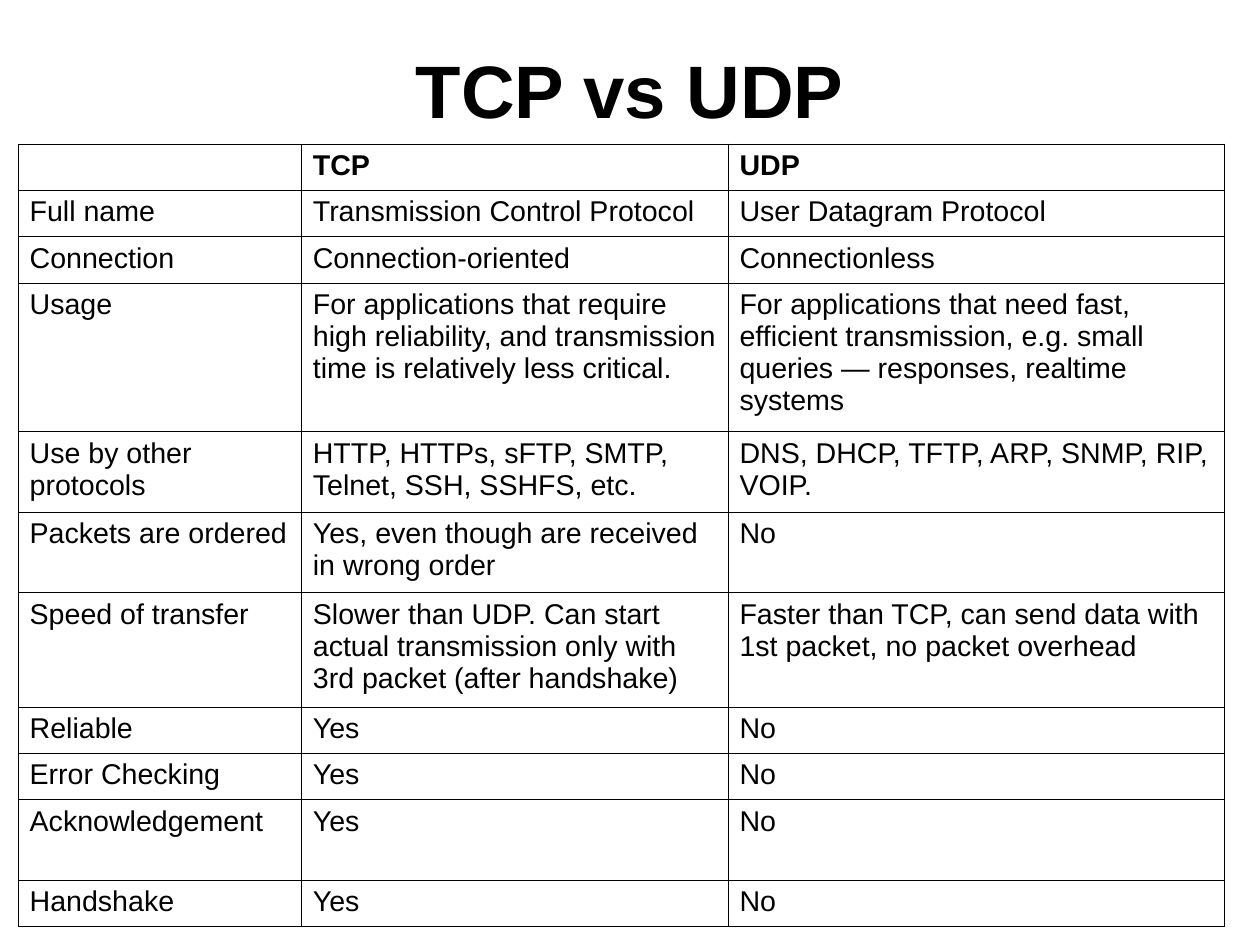
"""Build a slide with a table that compares TCP and UDP."""
from dataclasses import dataclass

from lxml import etree
from pptx import Presentation
from pptx.dml.color import RGBColor
from pptx.enum.text import MSO_ANCHOR, PP_ALIGN
from pptx.oxml.ns import qn
from pptx.util import Pt

CENTER = PP_ALIGN.CENTER
LEFT = PP_ALIGN.LEFT
MIDDLE = MSO_ANCHOR.MIDDLE


@dataclass(frozen=True)
class Theme:
    font: str = "Arial"
    ink: str = "000000"
    title_size: float = 46.8
    body_size: float = 18
    border: float = 0.57


@dataclass(frozen=True)
class Row:
    height: float
    label: str
    tcp: str
    udp: str


THEME = Theme()
ONE_LINE, TWO_LINES, THREE_LINES, FOUR_LINES = 29.2, 50.7, 71.8, 93.5
COLUMN_WIDTHS = (178.4, 268.8, 312.4)
ROWS = (
    Row(ONE_LINE, "", "TCP", "UDP"),
    Row(ONE_LINE, "Full name", "Transmission Control Protocol", "User Datagram Protocol"),
    Row(ONE_LINE, "Connection", "Connection-oriented", "Connectionless"),
    Row(FOUR_LINES, "Usage",
        "For applications that require high reliability, and transmission "
        "time is relatively less critical.",
        "For applications that need fast, efficient transmission, e.g. small "
        "queries — responses, realtime systems"),
    Row(TWO_LINES, "Use by other protocols",
        "HTTP, HTTPs, sFTP, SMTP, Telnet, SSH, SSHFS, etc.",
        "DNS, DHCP, TFTP, ARP, SNMP, RIP, VOIP."),
    Row(TWO_LINES, "Packets are ordered",
        "Yes, even though are received in wrong order", "No"),
    Row(THREE_LINES, "Speed of transfer",
        "Slower than UDP. Can start actual transmission only with 3rd packet "
        "(after handshake)",
        "Faster than TCP, can send data with 1st packet, no packet overhead"),
    Row(ONE_LINE, "Reliable", "Yes", "No"),
    Row(ONE_LINE, "Error Checking", "Yes", "No"),
    Row(TWO_LINES, "Acknowledgement", "Yes", "No"),
    Row(ONE_LINE, "Handshake", "Yes", "No"),
)


def write(tf, text: str, size: float, bold: bool, align=LEFT) -> None:
    p = tf.paragraphs[0]
    p.text = text
    p.alignment = align
    p.font.name = THEME.font
    p.font.size = Pt(size)
    p.font.bold = bold
    p.font.color.rgb = RGBColor.from_string(THEME.ink)


def set_borders(cell) -> None:
    tc_pr = cell._tc.get_or_add_tcPr()
    for i, side in enumerate(("a:lnL", "a:lnR", "a:lnT", "a:lnB")):
        ln = etree.Element(qn(side), w=str(Pt(THEME.border)))
        fill = etree.SubElement(ln, qn("a:solidFill"))
        etree.SubElement(fill, qn("a:srgbClr"), val=THEME.ink)
        tc_pr.insert(i, ln)


def add_title(s, text: str) -> None:
    tf = s.shapes.add_textbox(Pt(39.6), Pt(20.9), Pt(714.2), Pt(69.8)).text_frame
    tf.word_wrap = True
    tf.vertical_anchor = MIDDLE
    tf.margin_left = tf.margin_right = tf.margin_top = tf.margin_bottom = 0
    write(tf, text, THEME.title_size, True, CENTER)


def add_comparison(s, rows: tuple[Row, ...]) -> None:
    width, height = sum(COLUMN_WIDTHS), sum(row.height for row in rows)
    table = s.shapes.add_table(len(rows), len(COLUMN_WIDTHS), Pt(11.5), Pt(90.7),
                               Pt(width), Pt(height)).table
    table.first_row = True
    table.horz_banding = False
    for column, column_width in zip(table.columns, COLUMN_WIDTHS):
        column.width = Pt(column_width)
    for i, row in enumerate(rows):
        table.rows[i].height = Pt(row.height)
        for cell, text in zip(table.rows[i].cells, (row.label, row.tcp, row.udp)):
            cell.fill.background()
            set_borders(cell)
            cell.margin_left = cell.margin_right = Pt(7.2)
            cell.margin_top = cell.margin_bottom = Pt(3.6)
            write(cell.text_frame, text, THEME.body_size, i == 0)


def main() -> None:
    prs = Presentation()
    prs.slide_width, prs.slide_height = Pt(793.7), Pt(595.3)
    s = prs.slides.add_slide(prs.slide_layouts[6])
    add_title(s, "TCP vs UDP")
    add_comparison(s, ROWS)
    prs.save("out.pptx")


if __name__ == "__main__":
    main()
